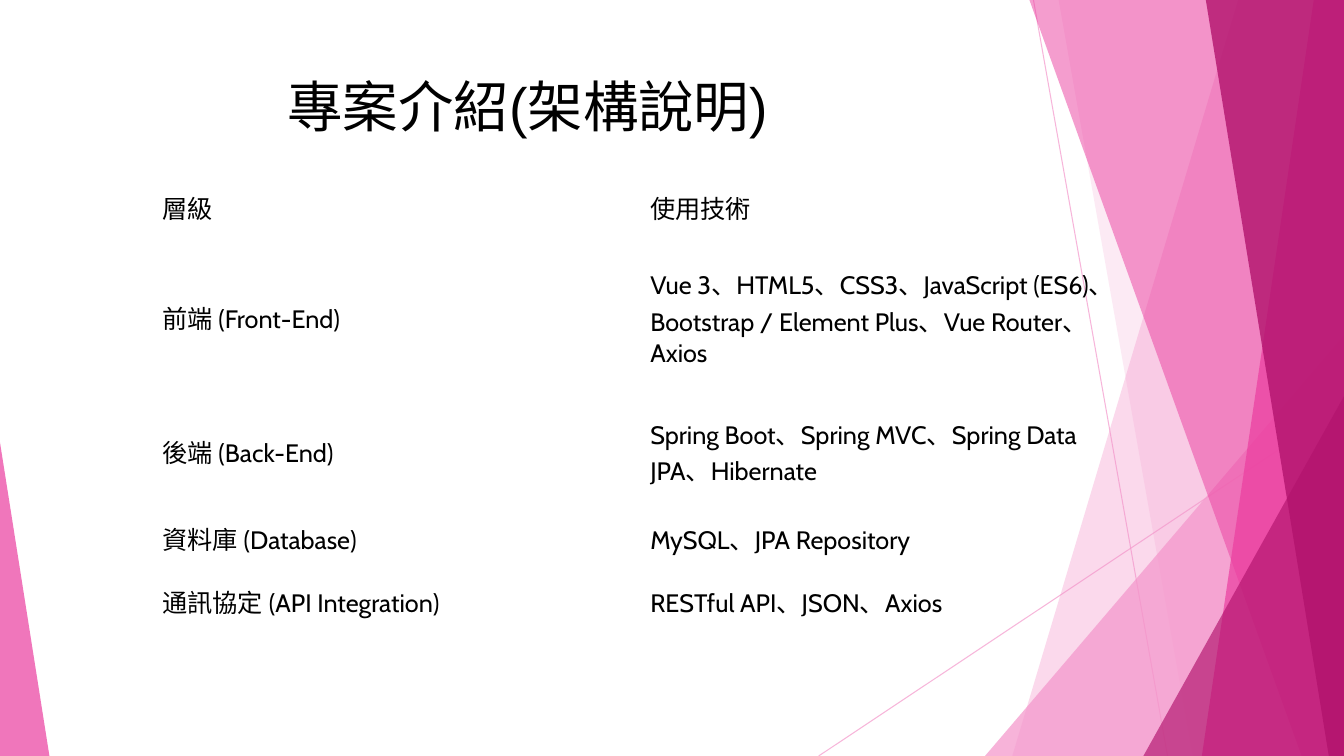
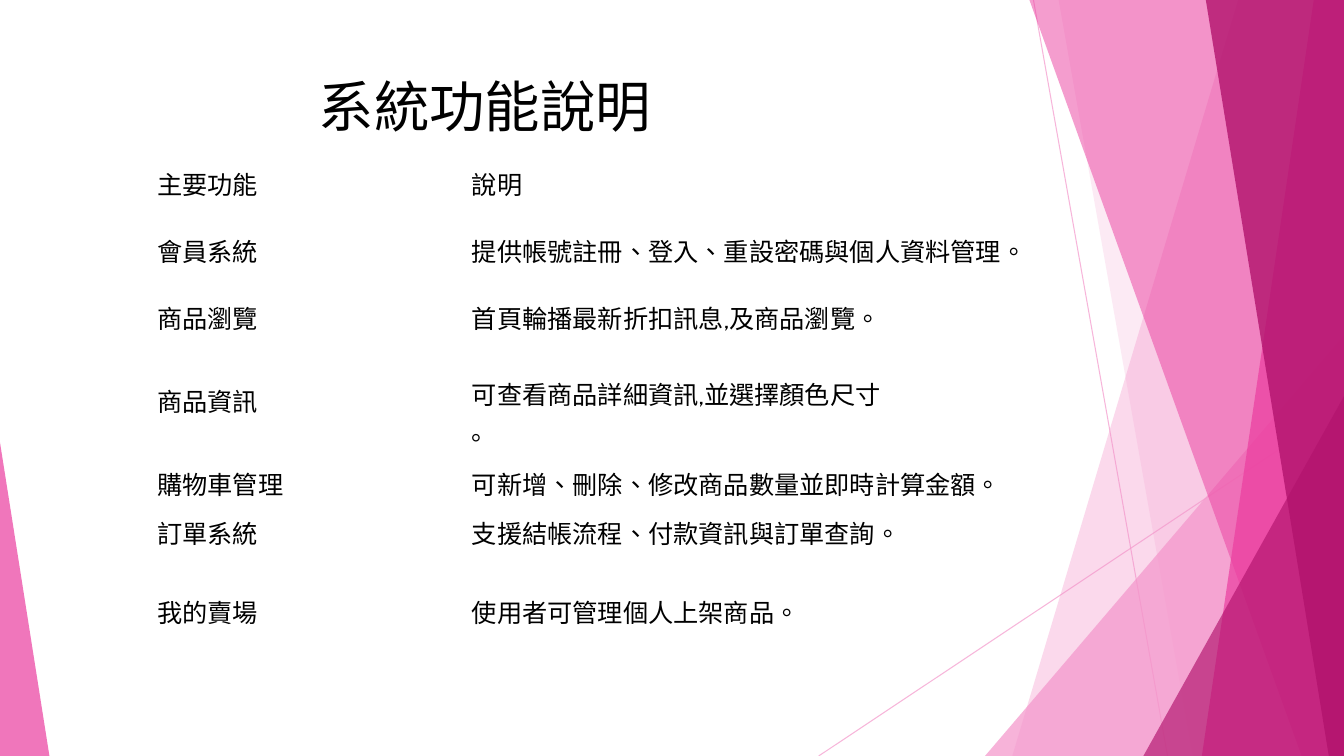
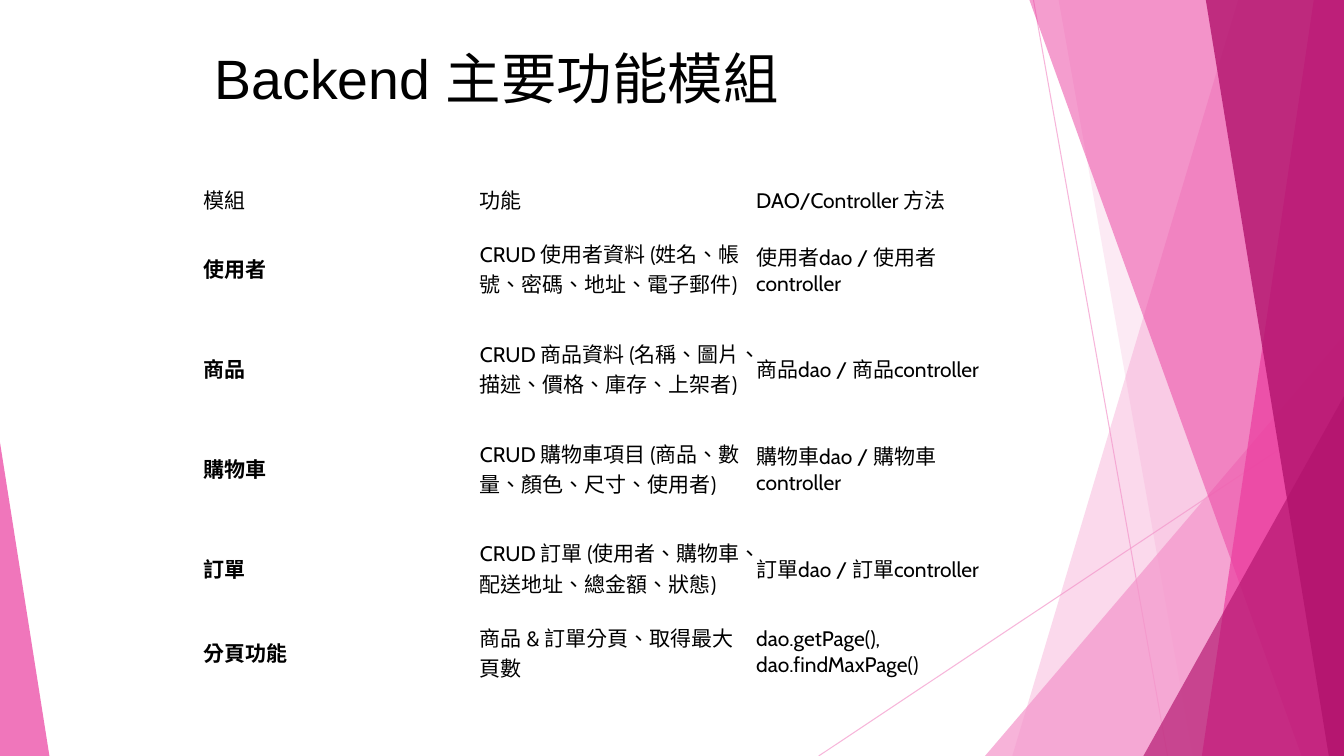
from dataclasses import dataclass
from typing import NamedTuple

from lxml.etree import SubElement
from pptx import Presentation
from pptx.dml.color import RGBColor
from pptx.enum.lang import MSO_LANGUAGE_ID as Language
from pptx.enum.shapes import MSO_CONNECTOR as Connector, MSO_SHAPE as Preset
from pptx.enum.text import MSO_ANCHOR as Anchor
from pptx.oxml.ns import qn
from pptx.util import Inches, Pt


@dataclass(frozen=True)
class Theme:
    """Colours, fonts and type sizes shared by the slides."""
    width: float = 13.33
    height: float = 7.5
    ink: str = "000000"
    light: str = "F496CB"
    vivid: str = "EB3D9F"
    deep: str = "B2136D"
    body_font: str = "Cabin"
    title_font: str = "Arial"
    title_size: float = 39.6
    body_size: float = 18
    small_size: float = 15
    plain_table: str = "{2D5ABB26-0587-4C30-8999-92F81FD0307C}"


THEME = Theme()


class Band(NamedTuple):
    """A slanted band reaching from its left edge to the right of the slide."""
    top_x: float
    bottom_x: float
    color: str
    opacity: int


class Wedge(NamedTuple):
    """A right triangle standing on the bottom of the slide."""
    left: float
    top: float
    width: float
    apex: float
    color: str
    opacity: int


RAYS = [((10.25, 0), (11.58, 7.5)), ((13.33, 4.03), (8.12, 7.5))]
FACETS = [
    Band(12.28, 10.04, THEME.light, 36),
    Band(10.5, 11.83, THEME.light, 20),
    Wedge(9.77, 3.33, 3.56, 1, THEME.light, 72),
    Band(10.21, 12.91, THEME.vivid, 50),
    Band(13.03, 11.92, THEME.vivid, 70),
    Band(11.96, 13.18, THEME.deep, 80),
    Wedge(11.34, 3.93, 1.99, 1, THEME.deep, 66),
    Wedge(0, 4.39, 0.49, 0, THEME.vivid, 70),
]

ARCHITECTURE = [
    ("層級", "使用技術"),
    ("前端 (Front-End)",
     "Vue 3、HTML5、CSS3、JavaScript (ES6)、Bootstrap / Element Plus、Vue Router、Axios"),
    ("後端 (Back-End)", "Spring Boot、Spring MVC、Spring Data JPA、Hibernate"),
    ("資料庫 (Database)", "MySQL、JPA Repository"),
    ("通訊協定 (API Integration)", "RESTful API、JSON、Axios"),
]
FEATURES = [
    ("主要功能", "說明"),
    ("會員系統", "提供帳號註冊、登入、重設密碼與個人資料管理。"),
    ("商品瀏覽", "首頁輪播最新折扣訊息,及商品瀏覽。"),
    ("商品資訊", "可查看商品詳細資訊,並選擇顏色尺寸\n。"),
    ("購物車管理", "可新增、刪除、修改商品數量並即時計算金額。"),
    ("訂單系統", "支援結帳流程、付款資訊與訂單查詢。"),
    ("我的賣場", "使用者可管理個人上架商品。"),
]
MODULES = [
    ("模組", "功能", "DAO/Controller 方法"),
    ("使用者", "CRUD 使用者資料 (姓名、帳號、密碼、地址、電子郵件)", "使用者dao / 使用者controller"),
    ("商品", "CRUD 商品資料 (名稱、圖片、描述、價格、庫存、上架者)", "商品dao / 商品controller"),
    ("購物車", "CRUD 購物車項目 (商品、數量、顏色、尺寸、使用者)", "購物車dao / 購物車controller"),
    ("訂單", "CRUD 訂單 (使用者、購物車、配送地址、總金額、狀態)", "訂單dao / 訂單controller"),
    ("分頁功能", "商品 & 訂單分頁、取得最大頁數", "dao.getPage(), dao.findMaxPage()"),
]


def apply(target, **values):
    """Set each named attribute on the target."""
    for name, value in values.items():
        setattr(target, name, value)


def paint(fill, color, opacity):
    """Give a fill a solid, partly transparent colour."""
    fill.solid()
    fill.fore_color.rgb = RGBColor.from_string(color)
    tint = fill._xPr.find(qn("a:solidFill")).find(qn("a:srgbClr"))
    SubElement(tint, qn("a:alpha")).set("val", str(opacity * 1000))


def style_text(frame, size, font, bold=False, language=None):
    """Format every run of a text frame; a lone mark keeps the default language."""
    for paragraph in frame.paragraphs:
        for run in paragraph.runs:
            apply(run.font, size=Pt(size), name=font, bold=bold)
            run.font.color.rgb = RGBColor.from_string(THEME.ink)
            if language and len(run.text) > 1:
                run.font.language_id = language


def add_ray(slide, start, end):
    """Draw one thin decorative line."""
    ray = slide.shapes.add_connector(
        Connector.STRAIGHT, *(Inches(value) for value in (*start, *end)))
    ray.line.width = Pt(0.75)
    paint(ray.line.fill, THEME.light, 70)
    SubElement(ray._element.spPr, qn("a:effectLst"))


def add_band(slide, band):
    """Draw a slanted band and return it."""
    corners = [(THEME.width, 0), (THEME.width, THEME.height), (band.bottom_x, THEME.height)]
    outline = slide.shapes.build_freeform(Inches(band.top_x), 0)
    outline.add_line_segments([(Inches(x), Inches(y)) for x, y in corners], close=True)
    return outline.convert_to_shape()


def add_wedge(slide, wedge):
    """Draw a corner triangle and return it."""
    triangle = slide.shapes.add_shape(
        Preset.ISOSCELES_TRIANGLE, Inches(wedge.left), Inches(wedge.top),
        Inches(wedge.width), Inches(THEME.height - wedge.top))
    triangle.adjustments[0] = wedge.apex
    return triangle


def add_backdrop(slide):
    """Draw the faceted decoration shared by all slides."""
    for start, end in RAYS:
        add_ray(slide, start, end)
    for facet in FACETS:
        draw = add_band if isinstance(facet, Band) else add_wedge
        shape = draw(slide, facet)
        shape.shadow.inherit = False
        shape.line.fill.background()
        paint(shape.fill, facet.color, facet.opacity)


def add_title(slide, title, left, top, indent, font=THEME.title_font):
    """Add the slide title, set in from the left of its box."""
    heading = slide.shapes.add_textbox(Inches(left), Inches(top), Inches(9.34), Inches(0.7))
    apply(heading.text_frame, word_wrap=True, vertical_anchor=Anchor.MIDDLE, text=title,
          margin_left=Inches(indent), margin_top=0, margin_bottom=0)
    style_text(heading.text_frame, THEME.title_size, font)


def add_grid(slide, rows, left, top, widths, heights, size=THEME.body_size,
             inset=(0.1, 0.05), bold_labels=False, lowered=None, language=None):
    """Add an unruled table; lowered maps (row, column) to a top margin."""
    frame = slide.shapes.add_table(
        len(rows), len(widths), Inches(left), Inches(top),
        Inches(sum(widths)), Inches(sum(heights)))
    grid = frame.table
    apply(grid, first_row=False, horz_banding=False)
    grid._tbl.tblPr.find(qn("a:tableStyleId")).text = THEME.plain_table
    for column, width in zip(grid.columns, widths):
        column.width = Inches(width)
    side, edge = inset
    for r, (texts, height) in enumerate(zip(rows, heights)):
        grid.rows[r].height = Inches(height)
        for c, text in enumerate(texts):
            cell = grid.cell(r, c)
            apply(cell, text=text, vertical_anchor=Anchor.MIDDLE,
                  margin_left=Inches(side), margin_right=Inches(side),
                  margin_top=Inches((lowered or {}).get((r, c), edge)),
                  margin_bottom=Inches(edge))
            cell.fill.background()
            style_text(cell.text_frame, size, THEME.body_font,
                       bold=bold_labels and r > 0 and c == 0, language=language)


def add_page(deck):
    """Add a blank slide carrying the backdrop."""
    slide = deck.slides.add_slide(deck.slide_layouts[6])
    add_backdrop(slide)
    return slide


def main():
    """Build and save the deck."""
    deck = Presentation()
    apply(deck, slide_width=Inches(THEME.width), slide_height=Inches(THEME.height))
    chinese = Language.TRADITIONAL_CHINESE

    architecture = add_page(deck)
    add_title(architecture, "專案介紹(架構說明)", 0.74, 0.7, 2.11)
    add_grid(architecture, ARCHITECTURE, 1.51, 1.74, [4.84] * 2,
             [0.63, 1.56, 1.1, 0.63, 0.62])

    features = add_page(deck)
    add_title(features, "系統功能說明", 0.74, 0.7, 2.42, THEME.body_font)
    add_grid(features, FEATURES, 1.46, 1.58, [3.12, 5.92],
             [0.49, 0.84, 0.49, 1.15, 0.49, 0.49, 0.85],
             lowered={(3, 1): 0.27, (6, 0): 0.27, (6, 1): 0.27}, language=chinese)

    modules = add_page(deck)
    add_title(modules, "Backend 主要功能模組", 0.81, 0.42, 1.32)
    add_grid(modules, MODULES, 1.94, 1.79, [2.74] * 3, [0.38] + [0.99] * 4 + [0.68],
             size=THEME.small_size, inset=(0.08, 0.04), bold_labels=True,
             language=chinese)

    deck.save("out.pptx")


if __name__ == "__main__":
    main()
